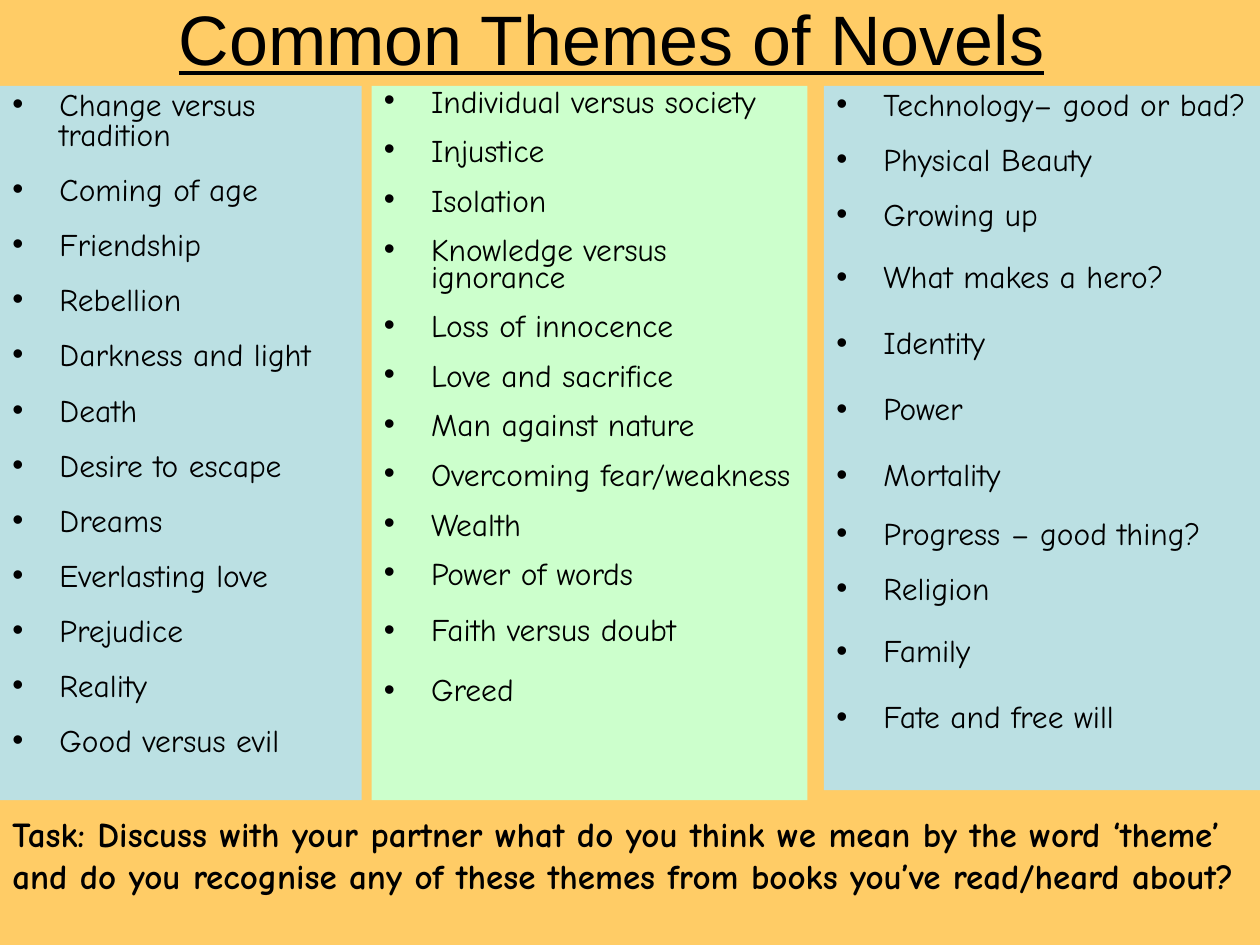
from lxml import etree
from pptx import Presentation
from pptx.dml.color import RGBColor
from pptx.enum.shapes import MSO_SHAPE
from pptx.enum.text import MSO_ANCHOR, PP_ALIGN
from pptx.oxml.ns import qn
from pptx.util import Cm, Pt

RECT = MSO_SHAPE.RECTANGLE
TOP, MIDDLE = MSO_ANCHOR.TOP, MSO_ANCHOR.MIDDLE
LEFT, CENTER = PP_ALIGN.LEFT, PP_ALIGN.CENTER

BLACK = RGBColor(0x00, 0x00, 0x00)
ORANGE = RGBColor(0xFF, 0xCC, 0x66)
BLUE = RGBColor(0xBB, 0xE0, 0xE3)
GREEN = RGBColor(0xCC, 0xFF, 0xCC)

TITLE = "Common Themes of Novels"
TASK = ("Task: Discuss with your partner what do you think we mean by the word ‘theme’ "
        "and do you recognise any of these themes from books you’ve read/heard about?")

# Each column: box in cm, fill, and groups of (line spacing, themes)
COLUMNS = [
    ((0, 1.73, 7.29, 14.4), BLUE, [
        (0.8, ["Change versus tradition", "Coming of age", "Friendship", "Rebellion",
               "Darkness and light", "Death", "Desire to escape", "Dreams",
               "Everlasting love", "Prejudice", "Reality", "Good versus evil"]),
    ]),
    ((7.49, 1.73, 8.79, 14.4), GREEN, [
        (0.7, ["Individual versus society", "Injustice", "Isolation",
               "Knowledge versus ignorance", "Loss of innocence",
               "Love and sacrifice", "Man against nature",
               "Overcoming fear/weakness", "Wealth", "Power of words"]),
        (0.9, ["Faith versus doubt", "Greed"]),
    ]),
    ((16.61, 1.73, 8.79, 14.2), BLUE, [
        (0.8, ["Technology– good or bad?", "Physical Beauty", "Growing up"]),
        (1.0, ["What makes a hero?", "Identity", "Power", "Mortality"]),
        (0.8, ["Progress – good thing?", "Religion"]),
        (1.0, ["Family", "Fate and free will"]),
    ]),
]


def style(para, name, size, bold=False):
    font = para.font
    font.name, font.size, font.bold = name, Pt(size), bold
    font.color.rgb = BLACK


def add_bullet(para):
    props = para._p.get_or_add_pPr()
    props.set("marL", str(Cm(0.95)))
    props.set("indent", str(-Cm(0.95)))
    etree.SubElement(props, qn("a:buFont")).set("typeface", "Arial")
    etree.SubElement(props, qn("a:buChar")).set("char", "•")


def add_text(slide, box, text):
    frame = slide.shapes.add_textbox(*map(Cm, box)).text_frame
    frame.word_wrap = True
    frame.text = text
    return frame


def add_title(slide, box):
    frame = add_text(slide, box, TITLE)
    frame.vertical_anchor = MIDDLE
    frame.margin_right = Cm(0.64)
    para = frame.paragraphs[0]
    para.alignment = CENTER
    style(para, "Arial", 40)
    para.font.underline = True


def add_column(slide, box, fill, groups):
    shape = slide.shapes.add_shape(RECT, *map(Cm, box))
    shape.shadow.inherit = False
    shape.fill.solid()
    shape.fill.fore_color.rgb = fill
    shape.line.fill.background()
    frame = shape.text_frame
    frame.word_wrap = True
    frame.vertical_anchor = TOP
    items = [(lead, theme) for lead, themes in groups for theme in themes]
    gap = 0
    for i, (lead, theme) in enumerate(items):
        para = frame.add_paragraph() if i else frame.paragraphs[0]
        para.text = theme
        para.alignment = LEFT
        para.line_spacing = lead
        para.space_before = Pt(gap)
        add_bullet(para)
        style(para, "Comic Neue", 18)
        # The gap below a theme grows with its line spacing
        gap = round(6.5 + 9.6 * lead, 1)


def add_task(slide, box):
    frame = add_text(slide, box, TASK)
    style(frame.paragraphs[0], "Comic Neue", 20, bold=True)


def main():
    deck = Presentation()
    deck.slide_width, deck.slide_height = Cm(25.4), Cm(19.05)
    slide = deck.slides.add_slide(deck.slide_layouts[6])
    back = slide.background.fill
    back.solid()
    back.fore_color.rgb = ORANGE
    add_title(slide, (1.09, 0, 22.86, 1.52))
    for box, fill, groups in COLUMNS:
        add_column(slide, box, fill, groups)
    add_task(slide, (0, 16.26, 25.4, 1.96))
    deck.save("out.pptx")


if __name__ == "__main__":
    main()
